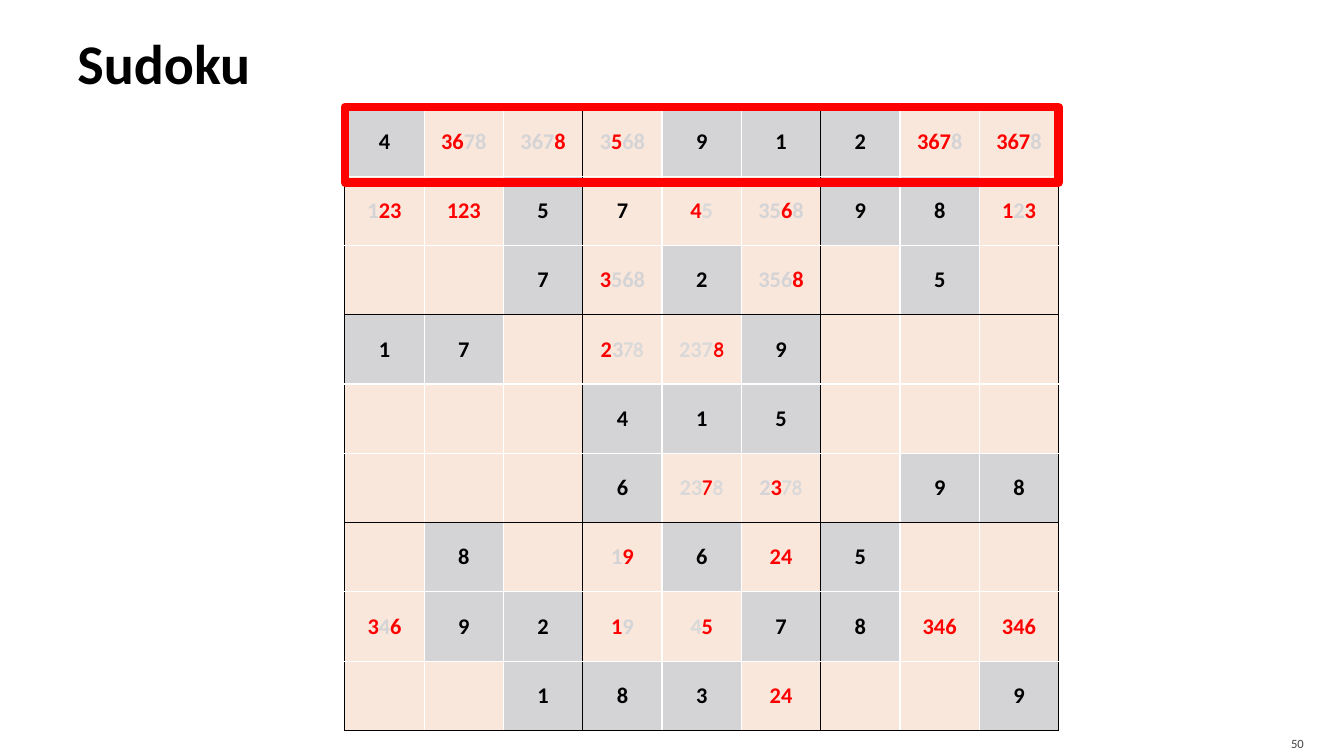
from dataclasses import dataclass

from lxml import etree
from pptx import Presentation
from pptx import util as u
from pptx.dml import color
from pptx.enum import shapes, text
from pptx.oxml import ns


@dataclass(frozen=True)
class Theme:
    """Colours, fonts and type sizes of the slide."""
    black: str = "000000"
    white: str = "FFFFFF"
    number: str = "454545"
    open_fill: str = "FAE7DC"
    given_fill: str = "D4D4D6"
    candidate: str = "FF0000"
    struck: str = "D4D4D6"
    faint: str = "D9D9D9"
    font: str = "Calibri"
    hand_font: str = "Comic Neue"
    title_size: int = 40
    digit_size: int = 16
    number_size: int = 9


THEME = Theme()
SIDE = 9
BOX = 3
GRID_LEFT, GRID_TOP = 3.42, 1.06
GRID_WIDTH, GRID_HEIGHT = 7.08, 6.19
PUZZLE = [
    ["*4", "36|-78", "-367|8", "-3|5|-68", "*9", "*1", "*2", "367|-8", "367|-8"],
    ["-1|23", "123", "*5", "7", "4|.5", "-35|6|-8", "*9", "*8", "1|-2|3"],
    ["", "", "*7", "3|-568", "*2", "-356|8", "", "*5", ""],
    ["*1", "*7", "", "2|-3|.~78", ".237|~8", "*9", "", "", ""],
    ["", "", "", "*4", "*1", "*5", "", "", ""],
    ["", "", "", "*6", ".23|~7|.~8", "-2|3|.~78", "", "*9", "*8"],
    ["", "*8", "", "-1|9", "*6", "24", "*5", "", ""],
    ["3|-4|6", "*9", "*2", "1|-9", ".4|5", "*7", "*8", "346", "346"],
    ["", "", "*1", "*8", "*3", "24", "", "", "*9"],
]


def rgb(value):
    """Turn a hex string into a colour."""
    return color.RGBColor.from_string(value)


def style_run(run, size, tint, bold=True, font=THEME.font):
    """Format one run."""
    run.font.name = font
    run.font.size = u.Pt(size)
    run.font.bold = bold
    run.font.color.rgb = rgb(tint)


def add_label(slide, words, area, size, tint, bold, align, insets):
    """Add a one-line text box, centred vertically."""
    frame = slide.shapes.add_textbox(*map(u.Inches, area)).text_frame
    frame.word_wrap = True
    frame.vertical_anchor = text.MSO_ANCHOR.MIDDLE
    (frame.margin_left, frame.margin_top,
     frame.margin_right, frame.margin_bottom) = map(u.Inches, insets)
    frame.text = words
    frame.paragraphs[0].alignment = align
    style_run(frame.paragraphs[0].runs[0], size, tint, bold)


def set_borders(cell, row, column):
    """Draw black edges around each box and white ones inside it."""
    properties = cell._tc.get_or_add_tcPr()
    box_edges = {
        "a:lnL": column % BOX == 0,
        "a:lnR": column % BOX == BOX - 1,
        "a:lnT": row % BOX == 0,
        "a:lnB": row % BOX == BOX - 1,
    }
    for position, (tag, on_edge) in enumerate(box_edges.items()):
        edge = etree.Element(ns.qn(tag), w=str(u.Pt(1)))
        fill = etree.SubElement(edge, ns.qn("a:solidFill"))
        tint = THEME.black if on_edge else THEME.white
        etree.SubElement(fill, ns.qn("a:srgbClr"), val=tint)
        properties.insert(position, edge)


def write_digits(paragraph, entry):
    """Write digits: '-' is struck, '.' is faint, '~' is the hand font."""
    digit_tint = THEME.black if len(entry.strip("*")) == 1 else THEME.candidate
    tints = {"-": THEME.struck, ".": THEME.faint}
    for part in entry.split("|"):
        run = paragraph.add_run()
        run.text = part.strip("*-.~")
        font = THEME.hand_font if "~" in part else THEME.font
        style_run(run, THEME.digit_size, tints.get(part[0], digit_tint), font=font)


def fill_cell(cell, entry, row, column):
    """Fill one square; '*' marks a given digit."""
    cell.fill.solid()
    given = entry.startswith("*")
    cell.fill.fore_color.rgb = rgb(THEME.given_fill if given else THEME.open_fill)
    cell.vertical_anchor = text.MSO_ANCHOR.MIDDLE
    set_borders(cell, row, column)
    paragraph = cell.text_frame.paragraphs[0]
    paragraph.alignment = text.PP_ALIGN.CENTER
    if entry:
        write_digits(paragraph, entry)


def add_puzzle(slide):
    """Add the Sudoku grid."""
    area = (GRID_LEFT, GRID_TOP, GRID_WIDTH, GRID_HEIGHT)
    grid = slide.shapes.add_table(SIDE, SIDE, *map(u.Inches, area)).table
    grid.first_row = grid.horz_banding = False
    for row, entries in enumerate(PUZZLE):
        grid.rows[row].height = u.Inches(GRID_HEIGHT / SIDE)
        for column, entry in enumerate(entries):
            fill_cell(grid.cell(row, column), entry, row, column)


def add_row_highlight(slide):
    """Frame the first row of the grid."""
    area = (GRID_LEFT, GRID_TOP, GRID_WIDTH, 0.75)
    highlight = slide.shapes.add_shape(
        shapes.MSO_SHAPE.RECTANGLE, *map(u.Inches, area))
    highlight.shadow.inherit = False
    highlight.fill.background()
    highlight.line.color.rgb = rgb(THEME.candidate)
    highlight.line.width = u.Pt(6)
    etree.SubElement(highlight.line._ln, ns.qn("a:round"))


def main():
    """Build the slide."""
    deck = Presentation()
    deck.slide_width, deck.slide_height = u.Inches(13.33), u.Inches(7.5)
    slide = deck.slides.add_slide(deck.slide_layouts[6])
    add_label(slide, "Sudoku", (0.67, 0.08, 12, 1.08), THEME.title_size,
              THEME.black, True, text.PP_ALIGN.LEFT, (0.1, 0.05, 0.05, 0.05))
    add_label(slide, "50", (11.96, 7.2, 1.07, 0.3), THEME.number_size,
              THEME.number, False, text.PP_ALIGN.RIGHT, (0.1, 0.05, 0.1, 0))
    add_puzzle(slide)
    add_row_highlight(slide)
    deck.save("out.pptx")


if __name__ == "__main__":
    main()
